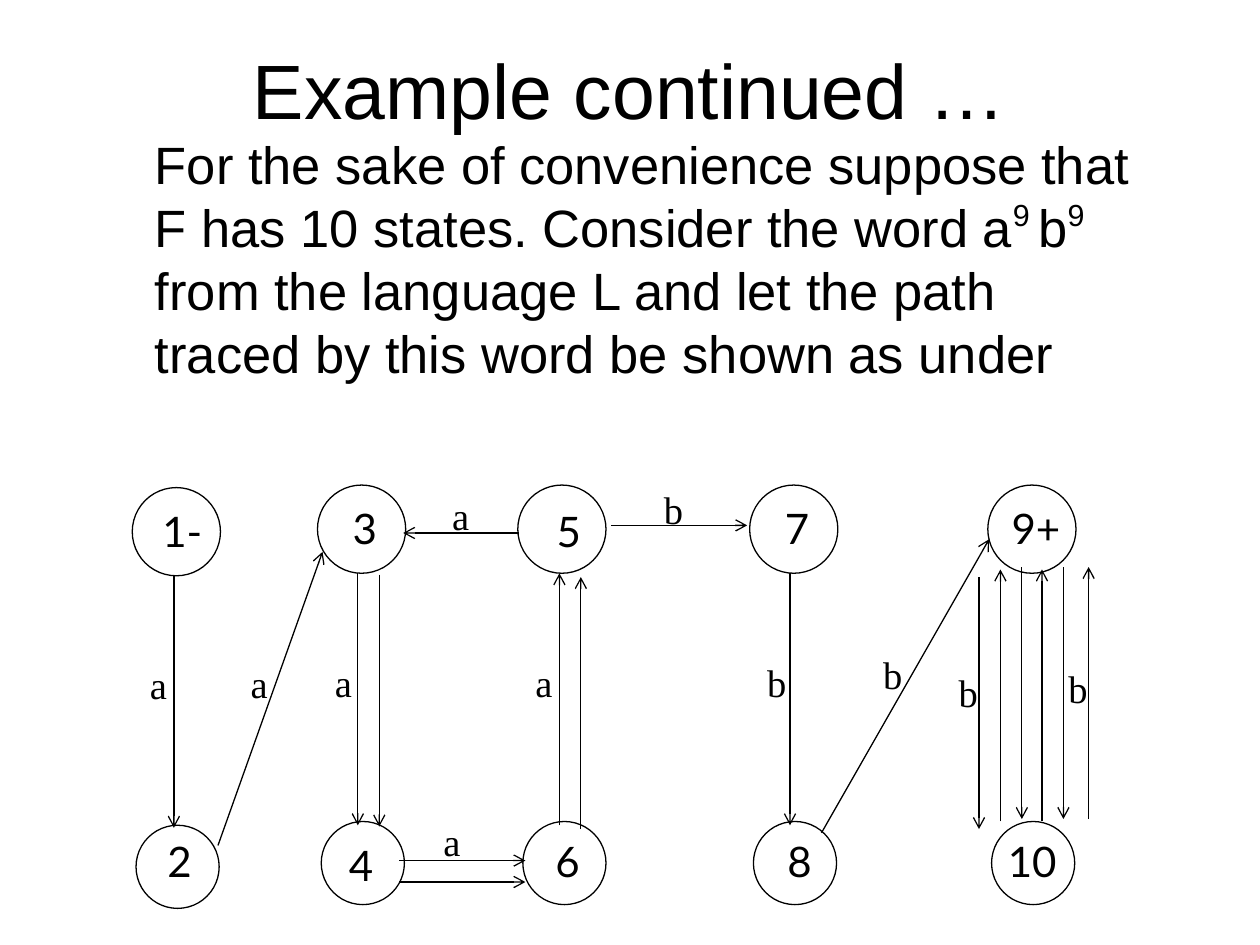
from lxml.etree import SubElement
from pptx import Presentation
from pptx.dml.color import RGBColor
from pptx.enum.shapes import MSO_CONNECTOR, MSO_SHAPE
from pptx.enum.text import MSO_ANCHOR, MSO_AUTO_SIZE, PP_ALIGN
from pptx.oxml.ns import qn
from pptx.util import Pt

PX = 9144  # EMU per px, 100 px to the inch

BLACK, WHITE = RGBColor(0, 0, 0), RGBColor(255, 255, 255)
THEME = {
    "title": {"name": "Arial", "size": Pt(44)},
    "body": {"name": "Arial", "size": Pt(30)},
    "state": {"name": "Lato", "size": Pt(24)},
    "letter": {"name": "Times New Roman", "size": Pt(22)},
    "line": Pt(0.75),
}

TITLE = "Example continued …"
BODY = [  # text, raised
    ("For the sake of convenience suppose that F has 10 states. "
     "Consider the word a", False),
    ("9 ", True),
    ("b", False),
    ("9", True),
    (" from the language L and let the path traced by this word "
     "be shown as under", False),
]

# Name, circle left and top, name left and top
UPPER_STATES = [
    ("1-", 105, 387, 119, 396),
    ("3", 252, 385, 270, 394),
    ("5", 411, 385, 432, 396),
    ("7", 595, 385, 613, 394),
    ("9+", 784, 385, 793, 394),
]
LOWER_STATES = [
    ("2", 108, 655, 123, 658),
    ("4", 255, 652, 267, 661),
    ("6", 415, 652, 431, 658),
    ("8", 598, 652, 615, 658),
    ("10", 787, 652, 790, 658),
]
# Circle size, name box width and height
ROWS = [(UPPER_STATES, 70, 69, 40), (LOWER_STATES, 66, 104, 44)]

LETTERS = [
    ("a", 109, 520), ("a", 189, 519), ("a", 256, 518), ("a", 342, 644),
    ("a", 415, 518), ("a", 349, 386), ("b", 517, 381), ("b", 599, 518),
    ("b", 691, 512), ("b", 751, 526), ("b", 838, 523),
]

# Vertical arrows all have one length: x, top
ARROW_LENGTH = 200
DOWN = [(138, 457), (284, 455), (301, 456), (627, 455),
        (777, 458), (811, 450), (844, 450)]
UP = [(444, 455), (461, 458), (794, 452), (827, 452), (864, 450)]
# Start x, y and end x, y
ACROSS = [
    (173, 671, 256, 438), (317, 683, 417, 683), (317, 700, 417, 700),
    (412, 423, 320, 423), (485, 417, 593, 417), (652, 661, 785, 428),
]


def px(*lengths):
    return [n * PX for n in lengths]


def add_run(p, text, style):
    r = p.add_run()
    r.text = text
    for key, value in THEME[style].items():
        setattr(r.font, key, value)
    r.font.color.rgb = BLACK
    return r


def place(s, *box):
    s.left, s.top, s.width, s.height = px(*box)
    s.text_frame.auto_size = MSO_AUTO_SIZE.NONE
    s.text_frame.word_wrap = True
    return s.text_frame


def add_label(shapes, text, style, *box):
    tf = place(shapes.add_textbox(0, 0, 0, 0), *box)
    add_run(tf.paragraphs[0], text, style)


def add_circle(shapes, x, y, size):
    s = shapes.add_shape(MSO_SHAPE.OVAL, *px(x, y, size, size))
    s.shadow.inherit = False
    s.fill.solid()
    s.fill.fore_color.rgb = WHITE
    s.line.color.rgb = BLACK
    s.line.width = THEME["line"]


def add_arrow(shapes, *ends):
    c = shapes.add_connector(MSO_CONNECTOR.STRAIGHT, *px(*ends))
    c.line.color.rgb = BLACK
    c.line.width = THEME["line"]
    SubElement(c.line._get_or_add_ln(), qn("a:tailEnd"), type="arrow")
    SubElement(c._element.spPr, qn("a:effectLst"))


def fill_text(slide):
    tf = place(slide.shapes.title, 75, 8, 850, 125)
    tf.vertical_anchor = MSO_ANCHOR.MIDDLE
    p = tf.paragraphs[0]
    p.alignment = PP_ALIGN.CENTER
    add_run(p, TITLE, "title")

    p = place(slide.placeholders[1], 75, 100, 850, 450).paragraphs[0]
    p.space_before = Pt(7.5)
    pPr = p._p.get_or_add_pPr()
    pPr.set("marL", str(38 * PX))
    pPr.set("indent", "0")
    SubElement(pPr, qn("a:buNone"))
    for text, raised in BODY:
        r = add_run(p, text, "body")
        if raised:
            r._r.get_or_add_rPr().set("baseline", "40000")


def draw_path(shapes):
    for states, size, _, _ in ROWS:
        for _, x, y, _, _ in states:
            add_circle(shapes, x, y, size)
    for x, y in DOWN:
        add_arrow(shapes, x, y, x, y + ARROW_LENGTH)
    for x, y in UP:
        add_arrow(shapes, x, y + ARROW_LENGTH, x, y)
    for ends in ACROSS:
        add_arrow(shapes, *ends)
    for states, _, w, h in ROWS:
        for name, _, _, x, y in states:
            add_label(shapes, name, "state", x, y, w, h)
    for letter, x, y in LETTERS:
        add_label(shapes, letter, "letter", x, y, 41, 40)


def main():
    prs = Presentation()
    prs.slide_width, prs.slide_height = px(1000, 750)
    slide = prs.slides.add_slide(prs.slide_layouts[1])
    fill_text(slide)
    draw_path(slide.shapes)
    prs.save("out.pptx")


if __name__ == "__main__":
    main()
